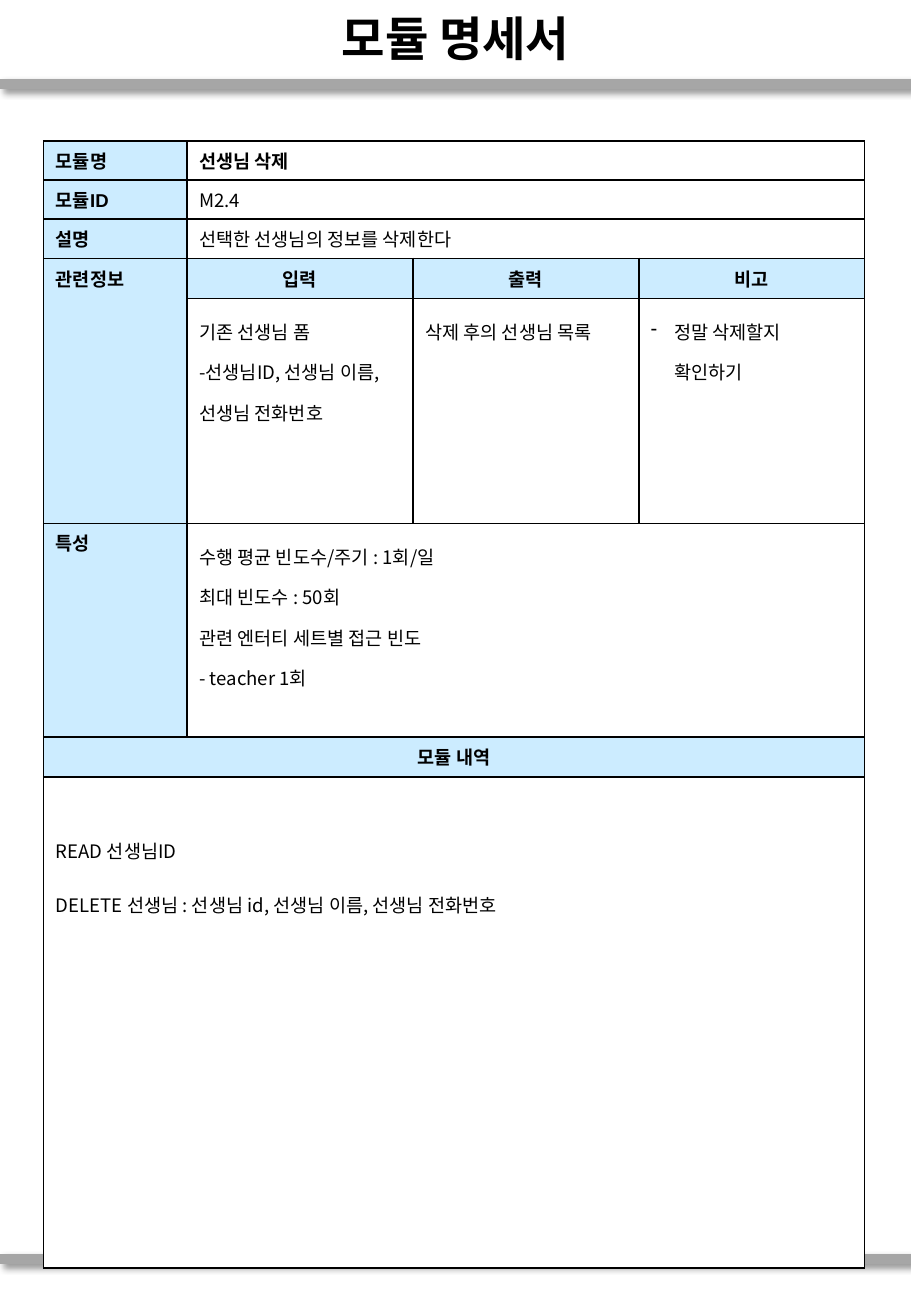
from itertools import product

from lxml import etree
from pptx import Presentation
from pptx import util as u
from pptx.dml.color import RGBColor
from pptx.enum import shapes, text
from pptx.oxml.ns import qn

KOREAN, LATIN = "Noto Sans CJK KR", "Arial"
BLACK, WHITE, LABEL_BLUE, RULE_GRAY = "000000", "FFFFFF", "CCECFF", "A6A6A6"
PAGE_WIDTH, PAGE_HEIGHT = 7.5, 10.83
COLUMN_WIDTHS = [1.18, 1.86, 1.86, 1.86]
ROW_HEIGHTS = [0.32, 0.32, 0.32, 0.33, 1.85, 1.76, 0.33, 4.04]

# row, column, text
LABELS = [(0, 0, "모듈명"), (1, 0, "모듈ID"), (2, 0, "설명"), (3, 0, "관련정보"), (5, 0, "특성")]
HEADINGS = [(3, 1, "입력"), (3, 2, "출력"), (3, 3, "비고"), (6, 0, "모듈 내역")]
# row, column, lines, line spacing
ENTRIES = [
    (0, 1, ["선생님 삭제"], 1),
    (1, 1, ["M2.4"], 1),
    (2, 1, ["선택한 선생님의 정보를 삭제한다"], 1),
    (4, 1, ["기존 선생님 폼", "-선생님ID, 선생님 이름, 선생님 전화번호"], 1.5),
    (4, 2, ["삭제 후의 선생님 목록"], 1.5),
    (4, 3, ["정말 삭제할지 확인하기"], 1.5),
    (5, 1, ["수행 평균 빈도수/주기 : 1회/일", "최대 빈도수 : 50회",
            "관련 엔터티 세트별 접근 빈도", "- teacher 1회"], 1.5),
    (7, 0, ["READ 선생님ID", "DELETE 선생님 : 선생님 id, 선생님 이름, 선생님 전화번호"], 2),
]
# first row, first column, last row, last column
MERGES = [(0, 1, 0, 3), (1, 1, 1, 3), (2, 1, 2, 3), (3, 0, 4, 0),
          (5, 1, 5, 3), (6, 0, 6, 3), (7, 0, 7, 3)]


def color(value):
    return RGBColor.from_string(value)


def add_xml(parent, tag, **attributes):
    return etree.SubElement(parent, qn(tag), attributes)


def set_font(para, name, size, bold):
    font = para.font
    font.name, font.size, font.bold = name, u.Pt(size), bold
    font.color.rgb = color(BLACK)
    if name == KOREAN:
        add_xml(para._p.pPr.find(qn("a:defRPr")), "a:ea", typeface=name)


def add_rule(page, top):
    """Draw a shadowed gray line across the page."""
    rule = page.shapes.add_connector(shapes.MSO_CONNECTOR.STRAIGHT, 0, u.Inches(top),
                                     u.Inches(PAGE_WIDTH), u.Inches(top))
    rule.line.color.rgb = color(RULE_GRAY)
    rule.line.width = u.Pt(6)
    effects = add_xml(rule._element.spPr, "a:effectLst")
    shadow = add_xml(effects, "a:outerShdw", blurRad=str(u.Pt(4)), dist=str(u.Pt(3)),
                     dir="2700000", algn="tl", rotWithShape="0")
    add_xml(add_xml(shadow, "a:srgbClr", val=BLACK), "a:alpha", val="40000")


def add_title(page, left, top, width, height):
    title = page.shapes.title
    title.left, title.top, title.width, title.height = map(u.Inches, (left, top, width, height))
    frame = title.text_frame
    frame.text = "모듈 명세서"
    frame.vertical_anchor = text.MSO_ANCHOR.MIDDLE
    para = frame.paragraphs[0]
    para.alignment = text.PP_ALIGN.CENTER
    set_font(para, KOREAN, 28, True)


def style_cell(cell, fill):
    properties = cell._tc.get_or_add_tcPr()
    for side in ("a:lnL", "a:lnR", "a:lnT", "a:lnB"):
        border = add_xml(properties, side, w=str(u.Pt(1)))
        add_xml(add_xml(border, "a:solidFill"), "a:srgbClr", val=BLACK)
    cell.fill.solid()
    cell.fill.fore_color.rgb = color(fill)


def write_cell(cell, lines, font, bold, spacing=1, centered=False, dashed=False):
    cell.text = "\n".join(lines)
    for para in cell.text_frame.paragraphs:
        para.alignment = text.PP_ALIGN.CENTER if centered else text.PP_ALIGN.LEFT
        para.line_spacing = spacing
        if dashed:
            properties = para._p.get_or_add_pPr()
            indent = u.Inches(0.19)
            properties.set("marL", str(indent))
            properties.set("indent", str(-indent))
            add_xml(properties, "a:buChar", char="-")
        set_font(para, font, 11, bold)


def add_module_table(page, left, top):
    frame = page.shapes.add_table(len(ROW_HEIGHTS), len(COLUMN_WIDTHS), u.Inches(left), u.Inches(top),
                                  u.Inches(sum(COLUMN_WIDTHS)), u.Inches(sum(ROW_HEIGHTS)))
    table = frame.table
    table.first_row = table.horz_banding = False
    for column, width in zip(table.columns, COLUMN_WIDTHS):
        column.width = u.Inches(width)
    for row, height in zip(table.rows, ROW_HEIGHTS):
        row.height = u.Inches(height)
    for row, column in product(range(len(ROW_HEIGHTS)), range(len(COLUMN_WIDTHS))):
        is_label = row in (3, 6) or (column == 0 and row < 7)
        style_cell(table.cell(row, column), LABEL_BLUE if is_label else WHITE)
    for first_row, first_column, last_row, last_column in MERGES:
        table.cell(first_row, first_column).merge(table.cell(last_row, last_column))

    for row, column, label in LABELS:
        write_cell(table.cell(row, column), [label], LATIN, True)
    for row, column, heading in HEADINGS:
        write_cell(table.cell(row, column), [heading], LATIN, True, centered=True)
    for row, column, lines, spacing in ENTRIES:
        write_cell(table.cell(row, column), lines, KOREAN, row == 0, spacing,
                   dashed=(row, column) == (4, 3))
    table.cell(7, 0).margin_top = u.Inches(0.27)


def main():
    deck = Presentation()
    deck.slide_width, deck.slide_height = u.Inches(PAGE_WIDTH), u.Inches(PAGE_HEIGHT)
    page = deck.slides.add_slide(deck.slide_layouts[5])
    add_title(page, 0, 0.01, PAGE_WIDTH, 0.6)
    for top in (0.69, 10.36):
        add_rule(page, top)
    add_module_table(page, 0.36, 1.16)
    deck.save("out.pptx")


if __name__ == "__main__":
    main()
